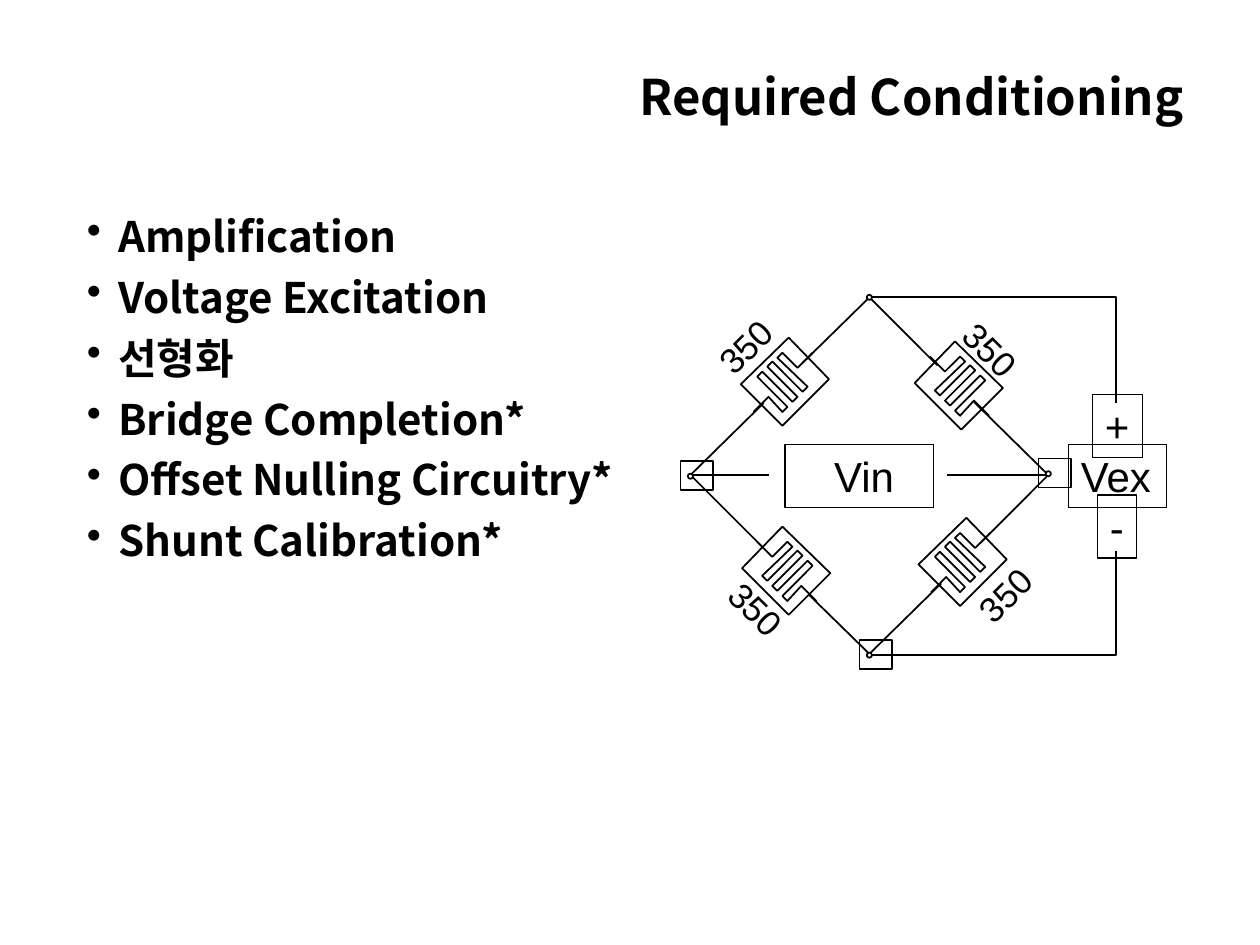
from typing import NamedTuple

import pptx
import pptx.dml.color
import pptx.enum.shapes
import pptx.enum.text
import pptx.oxml.ns
import pptx.util
from lxml import etree

Inches = pptx.util.Inches
SHAPE = pptx.enum.shapes.MSO_SHAPE
ALIGN = pptx.enum.text.PP_ALIGN
BLACK, WHITE = "000000", "FFFFFF"
HEADING_FONT, LABEL_FONT = "Noto Sans CJK KR", "Arial"


class Label(NamedTuple):
    text: str
    x: float
    y: float
    w: float
    h: float = 0.5
    size: int = 24
    rotation: int = 0
    boxed: bool = True
    left: float = 0.1
    right: float = 0.1


class Gauge(NamedTuple):
    x: float
    y: float
    mirrored: bool


class Node(NamedTuple):
    x: float
    y: float
    boxed: bool = True


def rgb(value: str):
    return pptx.dml.color.RGBColor.from_string(value)


def add_child(parent, tag: str, **attrs: str):
    return etree.SubElement(parent, pptx.oxml.ns.qn(tag), attrs)


def style(sp, fill: str | None = None, line: str | None = BLACK, width: float = 1) -> None:
    sp.shadow.inherit = False
    if fill:
        sp.fill.solid()
        sp.fill.fore_color.rgb = rgb(fill)
    else:
        sp.fill.background()
    if line:
        sp.line.color.rgb = rgb(line)
        sp.line.width = pptx.util.Pt(width)
    else:
        sp.line.fill.background()


def setup_frame(sp, wrap: bool, left: float = 0.1, right: float = 0.1):
    tf = sp.text_frame
    settings = {
        "word_wrap": wrap,
        "vertical_anchor": pptx.enum.text.MSO_ANCHOR.TOP,
        "margin_left": Inches(left), "margin_right": Inches(right),
        "margin_top": Inches(0.05), "margin_bottom": Inches(0.05),
    }
    for name, value in settings.items():
        setattr(tf, name, value)
    return tf


def write(p, text: str, size: int, font: str, bold: bool = False, align=ALIGN.LEFT) -> None:
    p.alignment = align
    r = p.add_run()
    r.text = text
    for name, value in {"name": font, "size": pptx.util.Pt(size), "bold": bold}.items():
        setattr(r.font, name, value)
    r.font.color.rgb = rgb(BLACK)
    add_child(r._r.get_or_add_rPr(), "a:ea", typeface=font)


def add_box(shapes, kind, x: float, y: float, w: float, h: float):
    return shapes.add_shape(kind, Inches(x), Inches(y), Inches(w), Inches(h))


def add_wire(shapes, x1: float, y1: float, x2: float, y2: float) -> None:
    line = shapes.add_connector(
        pptx.enum.shapes.MSO_CONNECTOR.STRAIGHT,
        Inches(x1), Inches(y1), Inches(x2), Inches(y2))
    line.line.color.rgb = rgb(BLACK)
    line.line.width = pptx.util.Pt(1)
    add_child(line._element.spPr, "a:effectLst")


def add_outline(shapes, points: list[tuple[float, float]], close: bool = False) -> None:
    start, *rest = [(Inches(x), Inches(y)) for x, y in points]
    builder = shapes.build_freeform(*start)
    builder.add_line_segments(rest, close=close)
    style(builder.convert_to_shape())


def add_gauge(shapes, gauge: Gauge) -> None:
    """Draw the tilted body and the zigzag grid inside it."""
    def place(points, size, dx, dy):
        return [(gauge.x + dx + (size - x if gauge.mirrored else x), gauge.y + dy + y)
                for x, y in points]

    body = [(0, 0.33), (0.37, 0.7), (0.7, 0.37), (0.32, 0)]
    grid = [(0.47, 0.47), (0.35, 0.35)]
    for i in range(3):  # each fold lies one step further up and left
        d = 0.08 * i
        grid += [(0.24 - d, 0.47 - d), (0.2 - d, 0.43 - d),
                 (0.44 - d, 0.19 - d), (0.4 - d, 0.15 - d)]
    grid += [(0.08, 0.31), (0.04, 0.27), (0.28, 0.04), (0.24, 0), (0.12, 0.12), (0, 0)]
    # the third fold is already the last one
    grid = grid[:10] + grid[-6:]
    add_outline(shapes, place(body, 0.7, 0, 0), close=True)
    add_outline(shapes, place(grid, 0.47, 0.1 if gauge.mirrored else 0.12, 0.12))


def add_node(shapes, node: Node) -> None:
    style(add_box(shapes, SHAPE.OVAL, node.x - 0.02, node.y - 0.02, 0.04, 0.04), WHITE)
    if node.boxed:
        style(add_box(shapes, SHAPE.RECTANGLE, node.x - 0.08, node.y - 0.12, 0.26, 0.23),
              width=0.75)


def add_label(shapes, label: Label) -> None:
    if label.boxed:
        sp = add_box(shapes, SHAPE.RECTANGLE, label.x, label.y, label.w, label.h)
        style(sp, width=0.75)
    else:
        sp = shapes.add_textbox(
            Inches(label.x), Inches(label.y), Inches(label.w), Inches(label.h))
    sp.rotation = label.rotation
    tf = setup_frame(sp, False, label.left, label.right)
    write(tf.paragraphs[0], label.text, label.size, LABEL_FONT)


def resistance(x: float, y: float, rotation: int) -> Label:
    return Label("350", x, y, 0.67, 0.43, 20, rotation, boxed=False)


BULLETS = ["Amplification", "Voltage Excitation", "선형화", "Bridge Completion*",
           "Offset Nulling Circuitry*", "Shunt Calibration*"]
WIRES = [
    (7.44, 2.9, 6.9, 2.36), (8.32, 3.77, 7.73, 3.19),
    (7.47, 4.63, 6.9, 5.19), (8.32, 3.77, 7.78, 4.31),
    (6.42, 4.72, 6.9, 5.19), (5.48, 3.77, 6.06, 4.35),
    (6.37, 2.88, 6.9, 2.36), (5.48, 3.77, 6.06, 3.2),
    (8.32, 3.77, 7.52, 3.77), (6.1, 3.77, 5.48, 3.77),
]
SUPPLY_WIRES = [[(6.9, 2.36), (8.86, 2.36), (8.86, 3.2)],
                [(6.9, 5.2), (8.86, 5.2), (8.86, 4.37)]]
GAUGES = [Gauge(5.89, 4.18, False), Gauge(7.26, 2.71, False),
          Gauge(5.88, 2.68, True), Gauge(7.29, 4.11, True)]
NODES = [Node(6.9, 2.36, boxed=False), Node(6.9, 5.2), Node(5.48, 3.78), Node(8.32, 3.76)]
LABELS = [
    Label("Vin", 6.23, 3.53, 1.18, left=0.39, right=0.32),
    resistance(5.58, 2.53, 315), resistance(5.67, 4.62, 45),
    Label("+", 8.67, 3.13, 0.4), Label("-", 8.71, 3.93, 0.31),
    resistance(7.53, 2.56, 45), resistance(7.64, 4.5, 315),
    Label("Vex", 8.48, 3.53, 0.78),
]


def main() -> None:
    prs = pptx.Presentation()
    prs.slide_width, prs.slide_height = Inches(10), Inches(7.5)
    s = prs.slides.add_slide(prs.slide_layouts[6])

    # Title
    sp = add_box(s.shapes, SHAPE.RECTANGLE, 3.66, 0.48, 5.83, 0.63)
    style(sp, WHITE, line=None)
    write(setup_frame(sp, True).paragraphs[0], "Required Conditioning", 28,
          HEADING_FONT, True, ALIGN.RIGHT)

    # Bullet list
    sp = s.shapes.add_textbox(Inches(0.59), Inches(1.62), Inches(4.41), Inches(4.5))
    tf = setup_frame(sp, True)
    for i, text in enumerate(BULLETS):
        p = tf.add_paragraph() if i else tf.paragraphs[0]
        pPr = p._p.get_or_add_pPr()
        pPr.set("marL", str(Inches(0.25)))
        pPr.set("indent", str(-Inches(0.25)))
        add_child(add_child(pPr, "a:buClr"), "a:srgbClr", val=BLACK)
        add_child(pPr, "a:buChar", char="•")
        p.space_before = pptx.util.Pt(6 if i else 0)
        write(p, text, 24, HEADING_FONT, True)

    # Bridge circuit
    bridge = s.shapes.add_group_shape().shapes
    for wire in WIRES:
        add_wire(bridge, *wire)
    for points in SUPPLY_WIRES:
        add_outline(bridge, points)
    for gauge in GAUGES:
        add_gauge(bridge, gauge)
    for node in NODES:
        add_node(bridge, node)
    for label in LABELS:
        add_label(bridge, label)

    prs.save("out.pptx")


if __name__ == "__main__":
    main()
